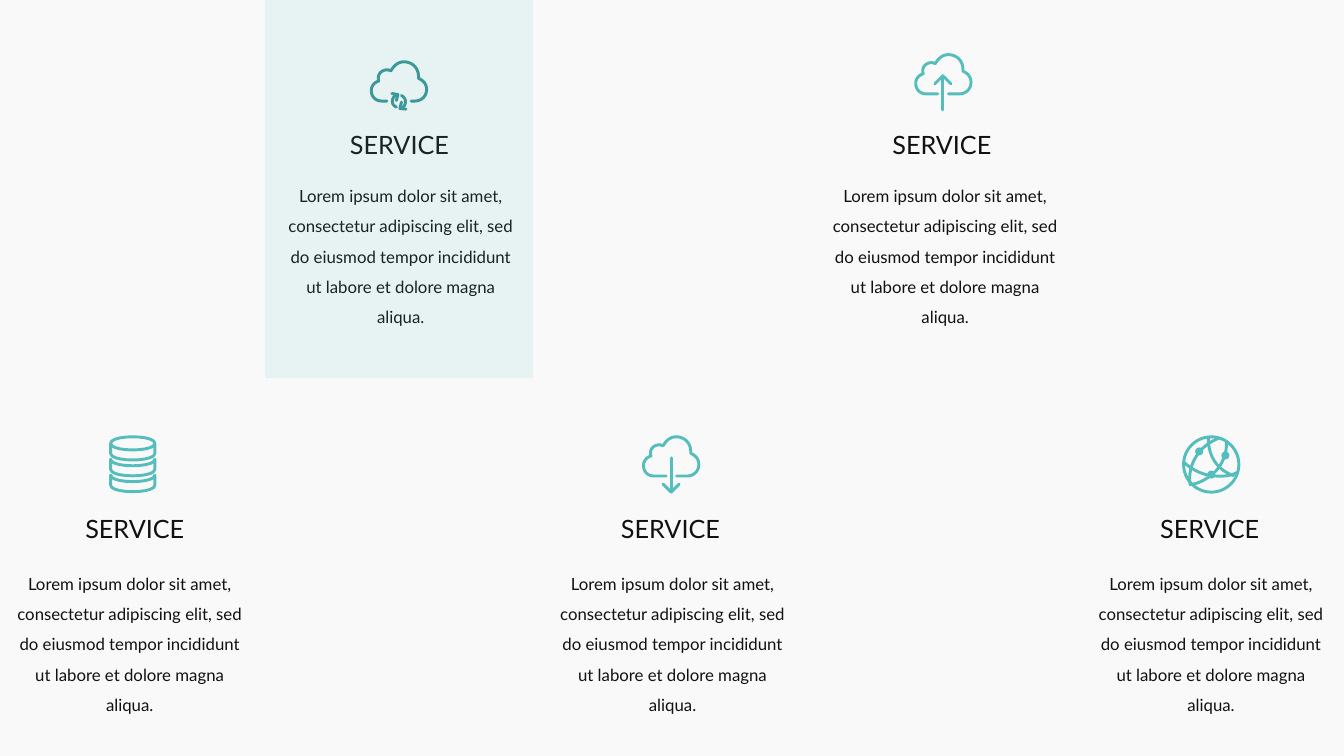
from pptx import Presentation
from pptx.dml.color import RGBColor
from pptx.enum import shapes, text
from pptx.oxml import ns, xmlchemy
from pptx.util import Cm, Pt

TEAL = RGBColor(0x56, 0xBD, 0xBD)
DARK_TEAL = RGBColor(0x3A, 0x94, 0x94)
INK = RGBColor(0x11, 0x11, 0x11)
PAPER = RGBColor(0xF9, 0xF9, 0xF9)
FONT = "Lato"
UNIT = Cm(1.47) / 58

LABEL = "SERVICE"
BODY = ("Lorem ipsum dolor sit amet, consectetur adipiscing elit, sed do "
        "eiusmod tempor incididunt ut labore et dolore magna aliqua.")


def cloud(gap_left, gap_right):
    return [
        (gap_left, 40.5), (12, 40.5),
        (5.5, 40.5, 1.5, 36, 1.5, 30), (1.5, 25.5, 4.5, 22, 9, 20.5),
        (8.5, 19.5, 8.5, 18.5, 8.5, 17), (8.5, 13, 12.5, 9.5, 17, 9.5),
        (18.5, 9.5, 19.5, 9.8, 21, 10.5), (24, 5, 28.5, 1.5, 34, 1.5),
        (42.5, 1.5, 48.5, 8, 48.5, 16), (48.5, 18),
        (53.5, 20, 56.5, 24, 56.5, 29), (56.5, 36, 51, 40.5, 45, 40.5),
        (gap_right, 40.5),
    ]


def disk(y):
    left, right, depth, height = 1.5, 45.5, 8.7, 10
    return [
        (left, y), (left, y + depth, right, y + depth, right, y),
        (right, y + height),
        (right, y + height + depth, left, y + height + depth, left, y + height),
        (left, y),
    ]


DOWNLOAD = [cloud(24, 34.5), [(29, 22.5), (29, 56.5)],
            [(21, 48.5), (29, 56.5), (37, 48.5)]]
UPLOAD = [cloud(23.5, 34), [(28.5, 56.5), (28.5, 22.5)],
          [(20.5, 30.5), (28.5, 22.5), (36.5, 30.5)]]
SYNC = [cloud(17, 41),
        [(31.5, 35), (34, 36.5, 35.5, 38.5, 35.5, 41),
         (35.5, 43.5, 34.5, 45.5, 33, 46.5)],
        [(31.5, 41.5), (30, 48), (36, 48.5)],
        [(26.5, 46.5), (24, 45.5, 22.5, 43.5, 22.5, 41),
         (22.5, 38.5, 23.5, 36.5, 25, 35.5)],
        [(22, 33), (28, 34), (26.5, 40)]]
GLOBE = [[(2, 27), (12, 36, 24, 40.5, 34, 40.5), (42, 41, 49, 40, 54.5, 37)],
         [(36, 3), (29, 6, 23, 10, 18.5, 15), (10.5, 24, 6, 36, 8, 49)],
         [(26, 2.5), (26, 20, 34, 34, 51, 40)],
         [(44, 6), (45, 17, 40, 30, 31, 38), (25, 43, 17, 48, 8, 49)]]
GLOBE_RIM = (29, 29, 27.5)
GLOBE_DOTS = [(17, 16, 4), (43, 20, 4), (29, 39, 4)]
DATABASE = [disk(8 + 15.75 * k) for k in range(3)]
DATABASE.append([(1.5, 8), (1.5, -0.7, 45.5, -0.7, 45.5, 8)])

TOP_ROW = (3.26, 4.43)
BOTTOM_ROW = (12.93, 14.2)
CARDS = [
    (SYNC, DARK_TEAL, 9.32, 1.52, 8.82, 7.25, TOP_ROW),
    (UPLOAD, TEAL, 23.04, 1.34, 22.49, 20.97, TOP_ROW),
    (DATABASE, TEAL, 2.75, 10.97, 2.15, 0.42, BOTTOM_ROW),
    (DOWNLOAD, TEAL, 16.18, 10.97, 15.65, 14.1, BOTTOM_ROW),
    (GLOBE, TEAL, 29.79, 10.97, 29.24, 27.67, BOTTOM_ROW),
]


def trace(stroke, steps=10):
    points = [stroke[0]]
    for part in stroke[1:]:
        if len(part) == 2:
            points.append(part)
            continue
        x0, y0 = points[-1]
        x1, y1, x2, y2, x3, y3 = part
        for i in range(1, steps + 1):
            t = i / steps
            a, b, c, d = (1 - t) ** 3, 3 * t * (1 - t) ** 2, 3 * t * t * (1 - t), t ** 3
            points.append((a * x0 + b * x1 + c * x2 + d * x3,
                           a * y0 + b * y1 + c * y2 + d * y3))
    return [(x * UNIT, y * UNIT) for x, y in points]


def outline(s, color):
    s.shadow.inherit = False
    s.fill.background()
    s.line.color.rgb = color
    s.line.width = Pt(2.1)
    ln = s.element.spPr.find(ns.qn("a:ln"))
    ln.set("cap", "rnd")
    ln.append(xmlchemy.OxmlElement("a:round"))


def paint(s, color):
    s.shadow.inherit = False
    s.fill.solid()
    s.fill.fore_color.rgb = color
    s.line.fill.background()


def add_icon(slide, strokes, color, left, top):
    traced = [trace(stroke) for stroke in strokes]
    builder = slide.shapes.build_freeform(*traced[0][0])
    builder.add_line_segments(traced[0][1:], close=False)
    for points in traced[1:]:
        builder.move_to(*points[0])
        builder.add_line_segments(points[1:], close=False)
    outline(builder.convert_to_shape(left, top), color)


def add_circle(slide, left, top, circle):
    x, y, r = circle
    return slide.shapes.add_shape(
        shapes.MSO_SHAPE.OVAL, int(left + (x - r) * UNIT), int(top + (y - r) * UNIT),
        int(2 * r * UNIT), int(2 * r * UNIT))


def add_text(slide, content, left, top, width, height, size, wrap):
    tf = slide.shapes.add_textbox(Cm(left), Cm(top), Cm(width), Cm(height)).text_frame
    tf.margin_left = tf.margin_right = tf.margin_top = tf.margin_bottom = 0
    tf.word_wrap = wrap
    tf.auto_size = text.MSO_AUTO_SIZE.SHAPE_TO_FIT_TEXT
    tf.text = content
    p = tf.paragraphs[0]
    font = p.runs[0].font
    font.name, font.size, font.color.rgb = FONT, Pt(size), INK
    return p


def main():
    prs = Presentation()
    prs.slide_width, prs.slide_height = Cm(33.87), Cm(19.05)
    slide = prs.slides.add_slide(prs.slide_layouts[6])
    slide.background.fill.solid()
    slide.background.fill.fore_color.rgb = PAPER

    for icon, color, icon_x, icon_y, label_x, body_x, (label_y, body_y) in CARDS:
        left, top = Cm(icon_x), Cm(icon_y)
        add_icon(slide, icon, color, left, top)
        if icon is GLOBE:
            outline(add_circle(slide, left, top, GLOBE_RIM), color)
            for dot in GLOBE_DOTS:
                paint(add_circle(slide, left, top, dot), color)
        add_text(slide, LABEL, label_x, label_y, 2.57, 0.76, 18, False)
        p = add_text(slide, BODY, body_x, body_y, 5.7, 3.84, 12, True)
        p.alignment = text.PP_ALIGN.CENTER
        p.line_spacing = 1.5

    s = slide.shapes.add_shape(shapes.MSO_SHAPE.RECTANGLE, Cm(6.68), 0, Cm(6.75), Cm(9.53))
    paint(s, TEAL)
    alpha = xmlchemy.OxmlElement("a:alpha")
    alpha.set("val", "11000")
    s.element.spPr.find(ns.qn("a:solidFill"))[0].append(alpha)
    prs.save("out.pptx")


if __name__ == "__main__":
    main()
